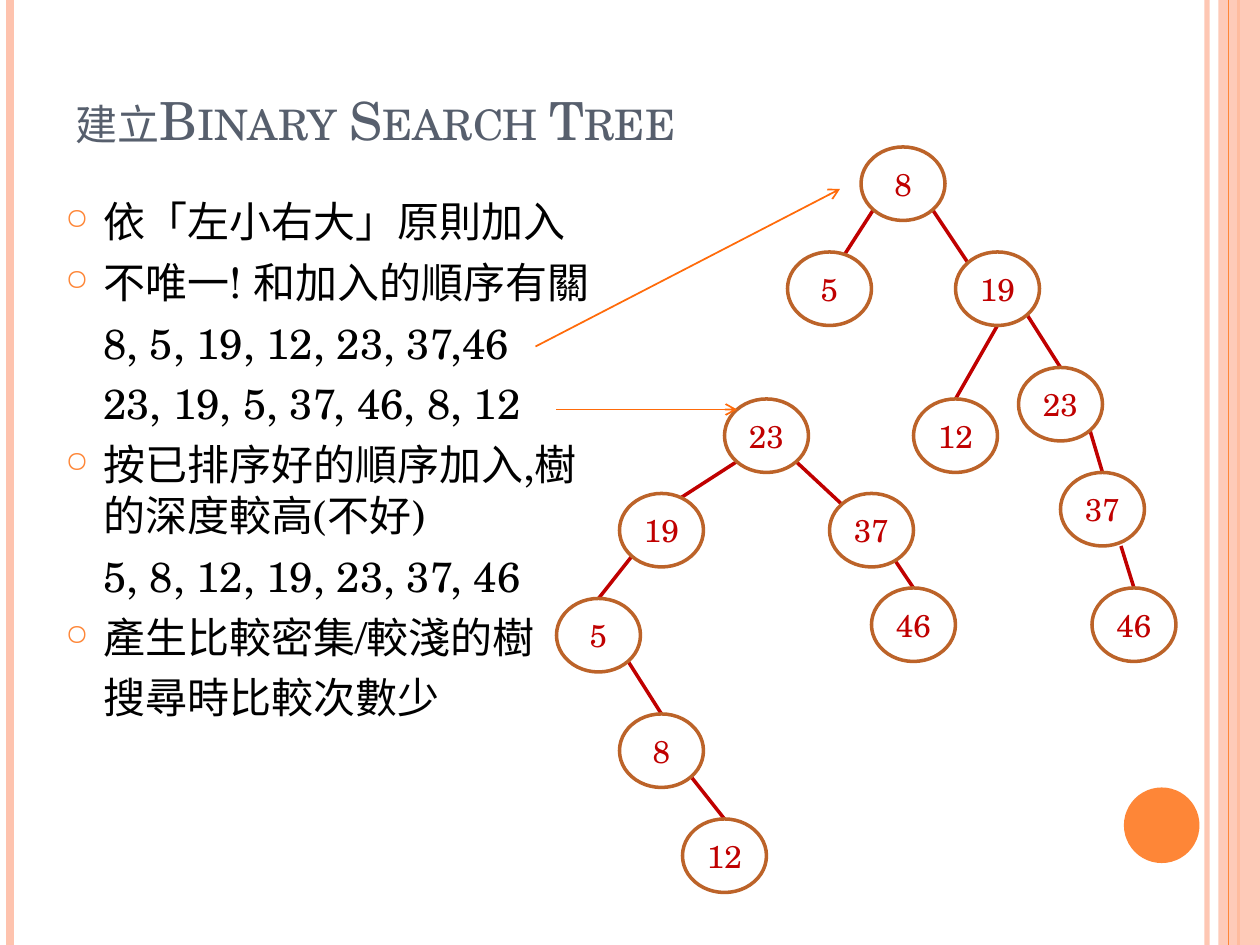
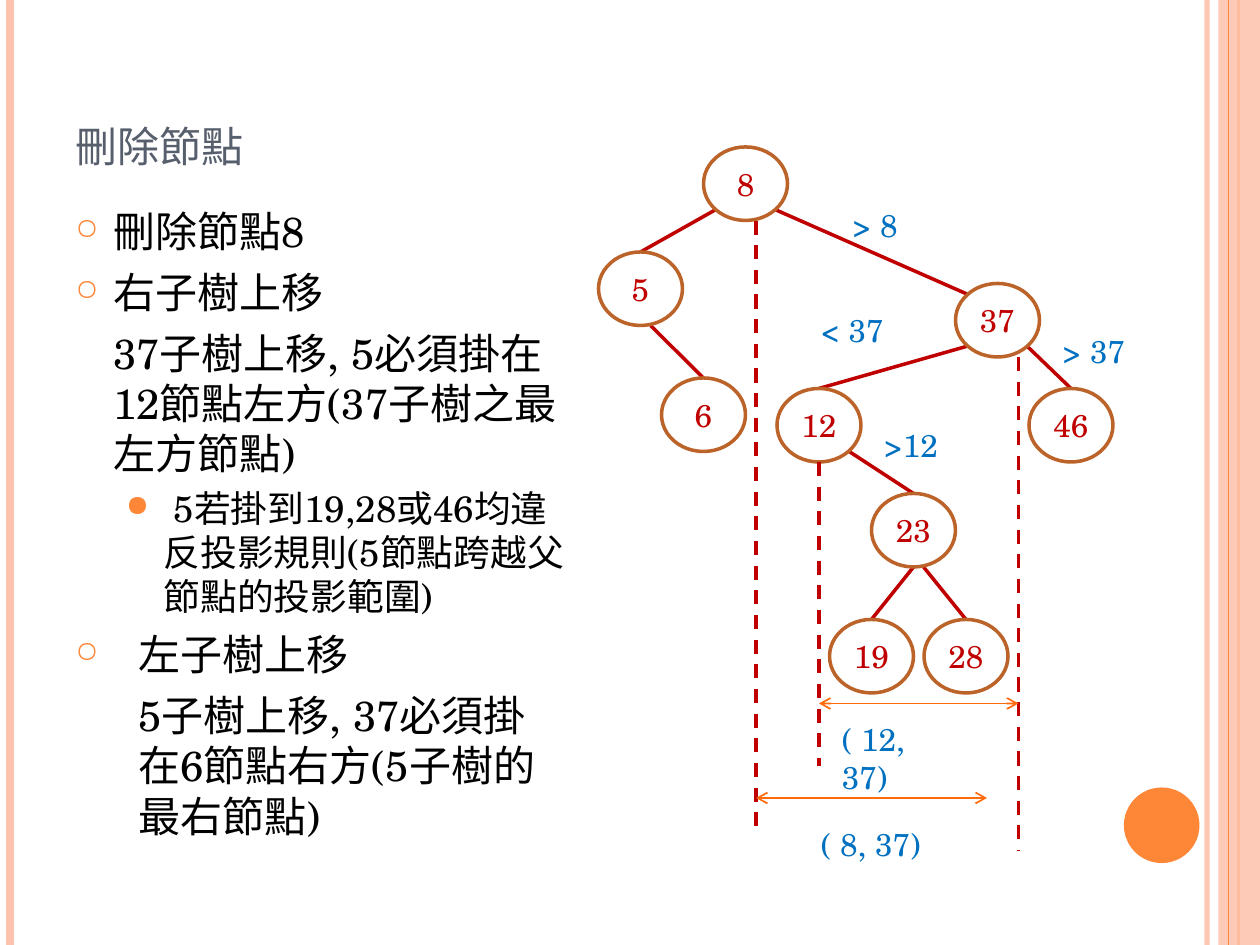
from dataclasses import dataclass
from lxml.etree import SubElement
from pptx import Presentation
from pptx.dml.color import RGBColor as RGB
from pptx.enum.dml import MSO_LINE as Dash
from pptx.enum.shapes import MSO_CONNECTOR as Link, MSO_SHAPE as Form
from pptx.enum.text import MSO_ANCHOR as Anchor, PP_ALIGN as Align
from pptx.oxml.ns import qn
from pptx.util import Inches, Pt


@dataclass(frozen=True)
class Theme:
    """Colours, fonts and type sizes of the deck."""
    title: str = "575F6D"
    ink: str = "000000"
    white: str = "FFFFFF"
    accent: str = "FE8637"
    pale: str = "FEC3AE"
    ring: str = "BC6329"
    red: str = "C00000"
    blue: str = "0070C0"
    arrow: str = "FF6B0A"
    latin: str = "TeX Gyre Schola"
    asian: str = "Noto Sans CJK TC"
    head: int = 30
    body: int = 24
    sub: int = 21
    node: int = 18


T = Theme()
WIDE, HIGH = 10, 7.5
CELL = 1 / 12          # grid step in inches; trees and arrows sit on it
NODE_W, NODE_H = 8, 7  # node size in grid cells

# Vertical lines: x in inches, colour, weight, opacity
RAILS = [(9.58, T.pale, 3, 93), (0.08, T.pale, 4.5, 100),
         (9.83, T.accent, 1.5, 100), (9.75, T.accent, 0.75, 100)]

# Places on a node as shares of its size; letters are compass points
PORTS = {"n": (.5, 0), "nne": (.62, .14), "nw": (.15, .15),
         "sw": (.15, .85), "se": (.85, .85), "sse": (.75, .86),
         "s": (.5, 1), "s+": (.62, 1), "s++": (.72, 1)}

# Paragraph styles: left indent, hang, bullet, bullet size, text size, space before
STYLES = {"dot": (.3, .3, "○", 70, T.body, 6),
          "plain": (.3, 0, None, 0, T.body, 6),
          "sub": (.7, .3, "●", 80, T.sub, 4.2),
          "wide": (.5, .5, "○", 70, T.body, 6),
          "inset": (.5, 0, None, 0, T.body, 6)}

# Trees: nodes give left and top in grid cells; the first node is the root.
# Edges give parent, child, port on the parent and port on the child.
SLIDES = [
    {"title": "建立Binary Search Tree", "title_h": .95,
     "box": (.42, 1.5, 4.42, 5.17),
     "text": [("dot", "依「左小右大」原則加入"),
              ("dot", "不唯一! 和加入的順序有關"),
              ("plain", "8, 5, 19, 12, 23, 37,46"),
              ("plain", "23, 19, 5, 37, 46, 8, 12"),
              ("dot", "按已排序好的順序加入,樹的深度較高(不好)"),
              ("plain", "5, 8, 12, 19, 23, 37, 46"),
              ("dot", "產生比較密集/較淺的樹"),
              ("plain", "搜尋時比較次數少")],
     "trees": [
         ({23: (69, 38), 19: (59, 47), 5: (53, 57), 8: (59, 68),
           12: (65, 78), 37: (79, 47), 46: (83, 56)},
          [(23, 19, "sw", "nne"), (23, 37, "se", "nw"), (19, 5, "sw", "n"),
           (5, 8, "se", "n"), (8, 12, "se", "n"), (37, 46, "sse", "n")]),
         ({8: (82, 14), 5: (75, 24), 19: (91, 24), 12: (87, 38),
           23: (97, 35), 37: (101, 45), 46: (104, 56)},
          [(8, 5, "sw", "nne"), (8, 19, "se", "nw"), (19, 12, "s", "n"),
           (19, 23, "se", "n"), (23, 37, "se", "n"), (37, 46, "s++", "n")])],
     "drops": [], "labels": [],
     "arrows": [((53, 39), (70.2, 39), False), ((51, 33), (80, 18), False)]},
    {"title": "刪除節點", "title_h": 1.12,
     "box": (.5, 1.58, 4.08, 5.5),
     "text": [("dot", "刪除節點8"),
              ("dot", "右子樹上移"),
              ("plain", "37子樹上移, 5必須掛在12節點左方(37子樹之最左方節點)"),
              ("sub", " 5若掛到19,28或46均違反投影規則(5節點跨越父節點的投影範圍)"),
              ("wide", "左子樹上移"),
              ("inset", "5子樹上移, 37必須掛在6節點右方(5子樹的最右節點)")],
     "trees": [
         ({8: (67, 14), 5: (57, 24), 6: (63, 36), 37: (91, 27), 12: (74, 37),
           46: (98, 37), 23: (83, 47), 19: (79, 59), 28: (88, 59)},
          [(8, 5, "sw", "n"), (8, 37, "se", "nw"), (5, 6, "s+", "n"),
           (37, 12, "sw", "n"), (37, 46, "se", "n"), (12, 23, "se", "n"),
           (23, 19, "s", "n"), (23, 28, "s+", "n")])],
     # Dashed drops: column, top row, bottom row
     "drops": [(97, 34, 81), (78, 44, 73), (72, 21, 79)],
     # Labels: text, column, row, width
     "labels": [("> 37", 100, 31, 12), ("< 37", 77, 29, 12),
                (">12", 83, 40, 12), ("> 8", 80, 19, 12),
                ("( 8, 37)", 77, 78, 12), ("( 12, 37)", 79, 68, 13)],
     "arrows": [((72, 76), (94, 76), True), ((78, 67), (97, 67), True)]},
]


def fade(fill, alpha):
    """Set the opacity of a solid fill element, in percent."""
    SubElement(fill[0], qn("a:alpha")).set("val", str(alpha * 1000))


def line(slide, start, end, color, weight):
    """Draw a straight connector between two points in inches."""
    link = slide.shapes.add_connector(
        Link.STRAIGHT, *(Inches(v) for v in (*start, *end)))
    link.line.color.rgb = RGB.from_string(color)
    link.line.width = Pt(weight)
    SubElement(link._element.spPr, qn("a:effectLst"))
    return link


def form(slide, kind, box, fill=None, ring=None):
    """Draw a preset shape; box is in inches."""
    shape = slide.shapes.add_shape(kind, *(Inches(v) for v in box))
    shape.shadow.inherit = False
    if fill:
        shape.fill.solid()
        shape.fill.fore_color.rgb = RGB.from_string(fill)
    else:
        shape.fill.background()
    if ring:
        shape.line.color.rgb = RGB.from_string(ring)
        shape.line.width = Pt(2)
    else:
        shape.line.fill.background()
    return shape


def write(para, text, size, color):
    """Add one run in the deck's fonts."""
    run = para.add_run()
    run.text = text
    run.font.size = Pt(size)
    run.font.name = T.latin
    run.font.color.rgb = RGB.from_string(color)
    SubElement(run.font._element, qn("a:ea")).set("typeface", T.asian)
    return run


def frame(slide, box):
    """Add a wrapping text box and return its text frame."""
    area = slide.shapes.add_textbox(*(Inches(v) for v in box)).text_frame
    area.word_wrap = True
    return area


def style(para, left, hang, mark, share, space):
    """Set indents, space before and bullet of a paragraph."""
    para.space_before = Pt(space)
    props = para._p.get_or_add_pPr()
    props.set("marL", str(Inches(left)))
    props.set("indent", str(-Inches(hang)))
    if mark:
        tint = SubElement(props, qn("a:buClr"))
        SubElement(tint, qn("a:srgbClr")).set("val", T.accent)
        SubElement(props, qn("a:buSzPct")).set("val", str(share * 1000))
        SubElement(props, qn("a:buChar")).set("char", mark)
    else:
        SubElement(props, qn("a:buNone"))


def dress(slide, layout):
    """Draw the side bands and the disc, then move them to the layout."""
    parts = []
    for x, color, weight, alpha in RAILS:
        rail = line(slide, (x, 0), (x, HIGH), color, weight)
        if alpha < 100:
            fade(rail._element.spPr.find(".//" + qn("a:solidFill")), alpha)
        parts.append(rail)
    band = form(slide, Form.RECTANGLE, (9.67, 0, .33, HIGH), T.pale)
    fade(band._element.spPr.find(qn("a:solidFill")), 87)
    disc = form(slide, Form.OVAL, (8.92, 6.25, .6, .6), T.accent)
    parts.insert(3, band)
    for num, part in enumerate(parts + [disc], 100):
        part._element.find(".//" + qn("p:cNvPr")).set("id", str(num))
        layout.shapes.element.append(part._element)


def head(slide, text, high):
    """Place and format the title."""
    title = slide.shapes.title
    title.left, title.top, title.width, title.height = (
        Inches(v) for v in (.5, .3, 8.17, high))
    title.text_frame.vertical_anchor = Anchor.BOTTOM
    para = title.text_frame.paragraphs[0]
    para.alignment = Align.LEFT
    write(para, text, T.head, T.title).font._element.set("cap", "small")


def body(slide, box, items):
    """Write the list on the left."""
    area = frame(slide, box)
    for num, (kind, text) in enumerate(items):
        para = area.add_paragraph() if num else area.paragraphs[0]
        left, hang, mark, share, size, space = STYLES[kind]
        para.level = int(kind == "sub")
        style(para, left, hang, mark, share, space)
        write(para, text, size, T.ink)


def grid(*cells):
    """Turn grid cells into inches."""
    return tuple(cell * CELL for cell in cells)


def port(spot, name):
    """Return a named place on the node at spot, in inches."""
    dx, dy = PORTS[name]
    return grid(spot[0] + dx * NODE_W, spot[1] + dy * NODE_H)


def tree(slide, nodes, edges):
    """Draw edges, then nodes; the root has no fill."""
    for top, low, out, into in edges:
        line(slide, port(nodes[top], out), port(nodes[low], into), T.red, 2)
    root = next(iter(nodes))
    for key, spot in nodes.items():
        fill = None if key == root else T.white
        ball = form(slide, Form.OVAL, grid(*spot, NODE_W, NODE_H), fill, T.ring)
        area = ball.text_frame
        area.vertical_anchor = Anchor.MIDDLE
        area.margin_left = area.margin_right = Inches(.08)
        area.margin_top = area.margin_bottom = Inches(.04)
        area.paragraphs[0].alignment = Align.CENTER
        write(area.paragraphs[0], str(key), T.node, T.red)


def arrow(slide, start, end, both):
    """Draw an arrow with an open head at one end or both."""
    link = line(slide, grid(*start), grid(*end), T.arrow, 1)
    stroke = link.line._get_or_add_ln()
    for tip in ("a:headEnd", "a:tailEnd") if both else ("a:tailEnd",):
        SubElement(stroke, qn(tip)).set("type", "arrow")


def main():
    """Build the deck."""
    deck = Presentation()
    deck.slide_width, deck.slide_height = Inches(WIDE), Inches(HIGH)
    layout = deck.slide_layouts[5]
    for num, page in enumerate(SLIDES):
        slide = deck.slides.add_slide(layout)
        if num == 0:
            dress(slide, layout)
        head(slide, page["title"], page["title_h"])
        body(slide, page["box"], page["text"])
        for nodes, edges in page["trees"]:
            tree(slide, nodes, edges)
        for col, top, low in page["drops"]:
            drop = line(slide, grid(col, top), grid(col, low), T.red, 2)
            drop.line.dash_style = Dash.DASH
        for text, col, row, wide in page["labels"]:
            area = frame(slide, grid(col, row, wide, 5))
            write(area.paragraphs[0], text, T.node, T.blue)
        for start, end, both in page["arrows"]:
            arrow(slide, start, end, both)
    deck.save("out.pptx")


main()
